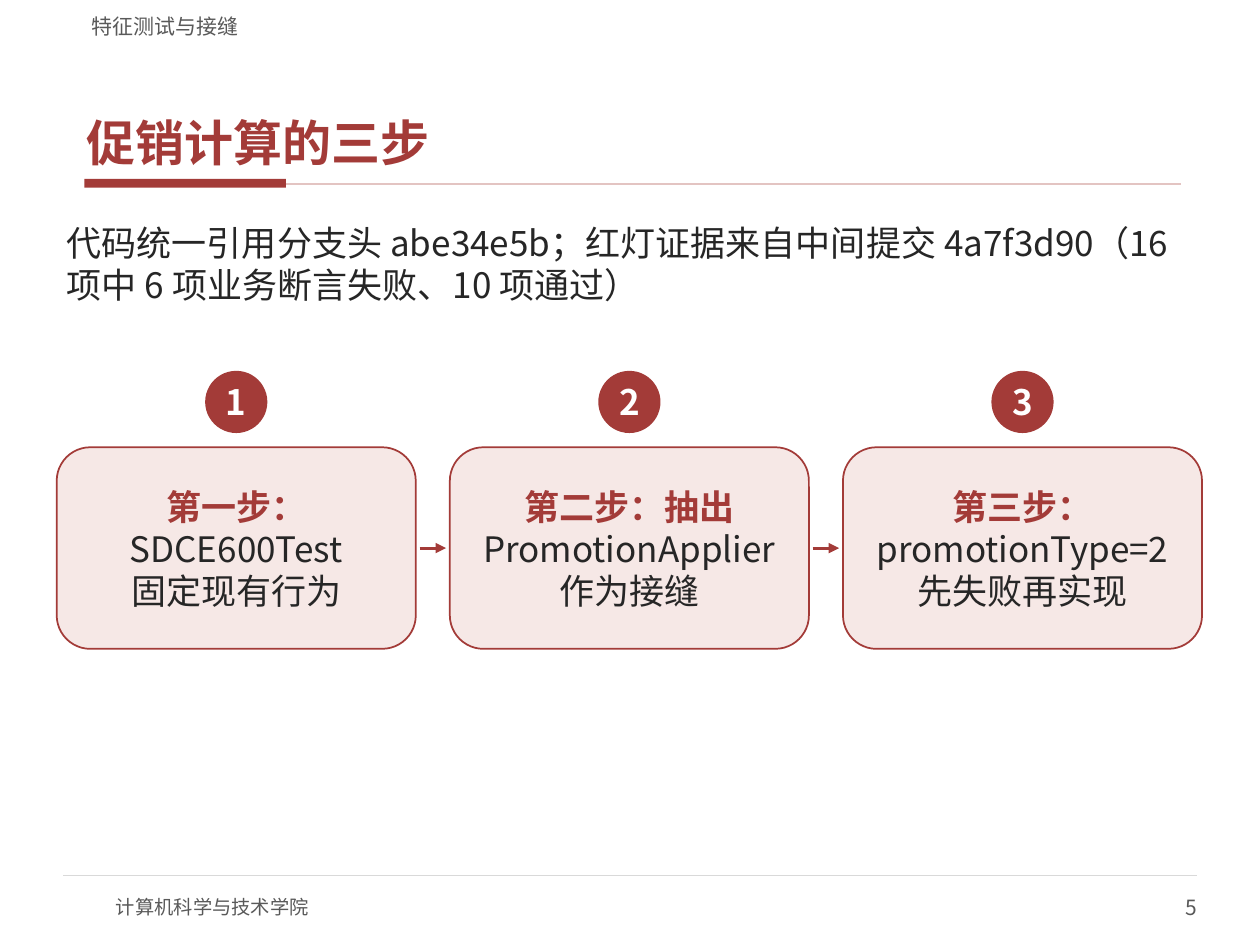
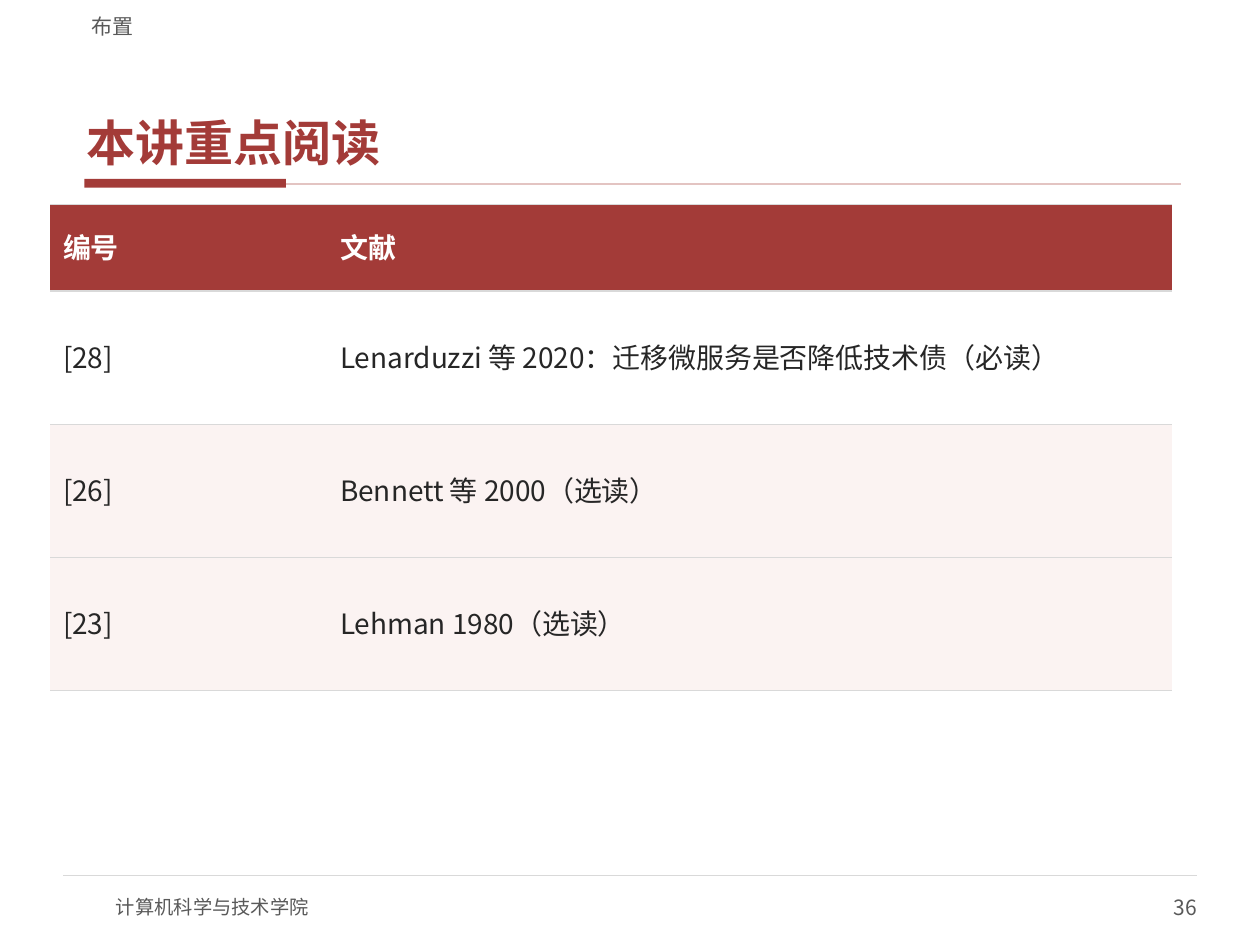
from dataclasses import dataclass
from typing import NamedTuple

from lxml import etree
from pptx import Presentation, util as u
from pptx.dml import color
from pptx.enum import shapes, text
from pptx.oxml import ns

FONT = "Noto Sans CJK SC"
RED, ROSE, PINK, PALE = "A33B38", "E3C4C2", "F6E8E6", "FBF3F2"
INK, GREY, RULE, WHITE = "262626", "595959", "D9D9D9", "FFFFFF"

WIDTH, HEIGHT = u.Inches(10), u.Inches(7.5)
COLUMNS, ROWS = 100, 75

LEFT, CENTER, RIGHT = text.PP_ALIGN.LEFT, text.PP_ALIGN.CENTER, text.PP_ALIGN.RIGHT
TOP, MIDDLE, BOTTOM = (text.MSO_ANCHOR.TOP, text.MSO_ANCHOR.MIDDLE,
                       text.MSO_ANCHOR.BOTTOM)


class Box(NamedTuple):
    """An area in grid columns and rows."""
    x: float
    y: float
    w: float
    h: float

    def emu(self) -> tuple:
        return col(self.x), row(self.y), col(self.w), row(self.h)


class Style(NamedTuple):
    size: float
    color: str
    bold: bool = False


class Frame(NamedTuple):
    """Anchor, then side and top insets in grid units."""
    anchor: text.MSO_ANCHOR = MIDDLE
    side: float = 0
    top: float = 0


@dataclass
class Step:
    heading: str
    lines: tuple


TITLE, LEAD, LEAD_BOLD = Style(28, RED, True), Style(20, INK), Style(20, RED, True)
BADGE, SECTION, FOOTER = Style(20, WHITE, True), Style(12, GREY), Style(11, GREY)
HEAD_CELL, BODY_CELL = Style(16, WHITE, True), Style(16, INK)
PADDED = Frame(MIDDLE, 0.8, 0.4)

STEPS = [
    Step("第一步：", ("SDCE600Test", "固定现有行为")),
    Step("第二步：抽出", ("PromotionApplier", "作为接缝")),
    Step("第三步：", ("promotionType=2", "先失败再实现")),
]
FIRST_CARD, CARD_PITCH = Box(4.5, 35.5, 28.5, 16), 31.2
BADGE_TOP, BADGE_SIZE, ARROW_GAP = 29.5, 4.8, 0.3

READINGS = [
    ("编号", "文献"),
    ("[28]", "Lenarduzzi 等 2020：迁移微服务是否降低技术债（必读）"),
    ("[26]", "Bennett 等 2000（选读）"),
    ("[23]", "Lehman 1980（选读）"),
]
READING_COLUMNS, READING_ROWS = (22, 67), (6.9, 10.57, 10.57, 10.57)
READING_FILLS = (RED, WHITE, PALE, PALE)


def col(n: float) -> int:
    return round(WIDTH * n / COLUMNS)


def row(n: float) -> int:
    return round(HEIGHT * n / ROWS)


def rgb(value: str) -> color.RGBColor:
    return color.RGBColor.from_string(value)


def set_values(obj, values: dict) -> None:
    for name, value in values.items():
        setattr(obj, name, value)


def add_run(p, words: str, style: Style) -> None:
    r = p.add_run()
    r.text = words
    set_values(r.font, {"size": u.Pt(style.size), "bold": style.bold, "name": FONT})
    r.font.color.rgb = rgb(style.color)
    etree.SubElement(r.font._element, ns.qn("a:ea"), typeface=FONT)


def set_frame(tf, frame: Frame) -> None:
    set_values(tf, {
        "word_wrap": True, "auto_size": text.MSO_AUTO_SIZE.NONE,
        "vertical_anchor": frame.anchor,
        "margin_left": col(frame.side), "margin_right": col(frame.side),
        "margin_top": row(frame.top), "margin_bottom": row(frame.top),
    })


def write(sp, words: str, style: Style, frame: Frame, align=LEFT) -> None:
    tf = sp.text_frame
    set_frame(tf, frame)
    p = tf.paragraphs[0]
    p.alignment = align
    add_run(p, words, style)


def add_label(s, box: Box, words: str, style: Style, frame=Frame(), align=LEFT) -> None:
    write(s.shapes.add_textbox(*box.emu()), words, style, frame, align)


def add_block(s, kind, box: Box, fill: str, outline: str = ""):
    sp = s.shapes.add_shape(kind, *box.emu())
    sp.shadow.inherit = False
    sp.fill.solid()
    sp.fill.fore_color.rgb = rgb(fill)
    if outline:
        sp.line.color.rgb = rgb(outline)
        sp.line.width = u.Pt(1)
    else:
        sp.line.fill.background()
    return sp


def add_line(s, x1: float, x2: float, y: float, hue: str, width: float,
             arrow: bool = False) -> None:
    """Draw a level line, with an arrowhead at x2 on request."""
    line = s.shapes.add_connector(shapes.MSO_CONNECTOR.STRAIGHT,
                                  col(x1), row(y), col(x2), row(y))
    line.line.color.rgb = rgb(hue)
    line.line.width = u.Pt(width)
    if arrow:
        etree.SubElement(line.line._get_or_add_ln(), ns.qn("a:tailEnd"), type="triangle")
    etree.SubElement(line._element.spPr, ns.qn("a:effectLst"))


def add_page(prs, title: str, section: str, number: int):
    """Add a slide with the shared title, rules, section name and footer."""
    s = prs.slides.add_slide(prs.slide_layouts[5])
    add_block(s, shapes.MSO_SHAPE.RECTANGLE, Box(6.7, 14.2, 16, 0.7), RED)
    add_line(s, 22.7, 93.7, 14.6, ROSE, 1)
    add_line(s, 5, 95, 69.5, RULE, 0.75)
    add_label(s, Box(9.2, 70, 40, 4), "计算机科学与技术学院", FOOTER)
    add_label(s, Box(75, 70, 20, 4), str(number), SECTION, align=RIGHT)
    add_label(s, Box(6.3, 0.4, 87.5, 2.7), section, SECTION, Frame(BOTTOM, 1))
    heading = s.shapes.title
    places = ("left", "top", "width", "height")
    set_values(heading, dict(zip(places, Box(6.3, 3.3, 87.5, 10.5).emu())))
    write(heading, title, TITLE, Frame(BOTTOM, 0.6, 0.2))
    heading.text_frame.paragraphs[0].space_after = u.Pt(2)
    return s


def add_step(s, index: int, step: Step) -> None:
    card = FIRST_CARD._replace(x=FIRST_CARD.x + index * CARD_PITCH)
    badge = Box(card.x + (card.w - BADGE_SIZE) / 2, BADGE_TOP, BADGE_SIZE, BADGE_SIZE)
    sp = add_block(s, shapes.MSO_SHAPE.OVAL, badge, RED, RED)
    write(sp, str(index + 1), BADGE, Frame(), CENTER)

    sp = add_block(s, shapes.MSO_SHAPE.ROUNDED_RECTANGLE, card, PINK, RED)
    write(sp, step.heading, LEAD_BOLD, PADDED, CENTER)
    p = sp.text_frame.add_paragraph()
    p.alignment = CENTER
    for i, words in enumerate(step.lines):
        if i:
            p.add_line_break()
        add_run(p, words, LEAD)

    if index < len(STEPS) - 1:
        add_line(s, card.x + card.w + ARROW_GAP, card.x + CARD_PITCH - ARROW_GAP,
                 card.y + card.h / 2, RED, 1.75, arrow=True)


def set_borders(cell) -> None:
    """Rule the top and bottom of a cell and clear its sides."""
    tc_pr = cell._tc.get_or_add_tcPr()
    for i, side in enumerate(("lnL", "lnR", "lnT", "lnB")):
        ln = etree.Element(ns.qn(f"a:{side}"), w=str(u.Pt(0.75)))
        if side in ("lnL", "lnR"):
            etree.SubElement(ln, ns.qn("a:noFill"))
        else:
            fill = etree.SubElement(ln, ns.qn("a:solidFill"))
            etree.SubElement(fill, ns.qn("a:srgbClr"), val=RULE)
        tc_pr.insert(i, ln)


def add_readings(s) -> None:
    box = Box(4, 16.2, sum(READING_COLUMNS), sum(READING_ROWS))
    table = s.shapes.add_table(len(READINGS), len(READING_COLUMNS), *box.emu()).table
    set_values(table, {"first_row": False, "horz_banding": False})
    for column, width in zip(table.columns, READING_COLUMNS):
        column.width = col(width)
    for i, (line, height) in enumerate(zip(table.rows, READING_ROWS)):
        line.height = row(height)
        for cell, words in zip(line.cells, READINGS[i]):
            cell.fill.solid()
            cell.fill.fore_color.rgb = rgb(READING_FILLS[i])
            cell.vertical_anchor = MIDDLE
            set_borders(cell)
            p = cell.text_frame.paragraphs[0]
            set_values(p, {"line_spacing": 0.9, "space_after": u.Pt(2)})
            add_run(p, words, BODY_CELL if i else HEAD_CELL)


def main() -> None:
    prs = Presentation()
    set_values(prs, {"slide_width": WIDTH, "slide_height": HEIGHT})

    s = add_page(prs, "促销计算的三步", "特征测试与接缝", 5)
    add_label(s, Box(4.5, 17.2, 91, 8.6),
              "代码统一引用分支头 abe34e5b；红灯证据来自中间提交 4a7f3d90"
              "（16 项中 6 项业务断言失败、10 项通过）", LEAD, Frame(TOP, 0.8, 0.4))
    for index, step in enumerate(STEPS):
        add_step(s, index, step)

    add_readings(add_page(prs, "本讲重点阅读", "布置", 36))
    prs.save("out.pptx")


if __name__ == "__main__":
    main()
